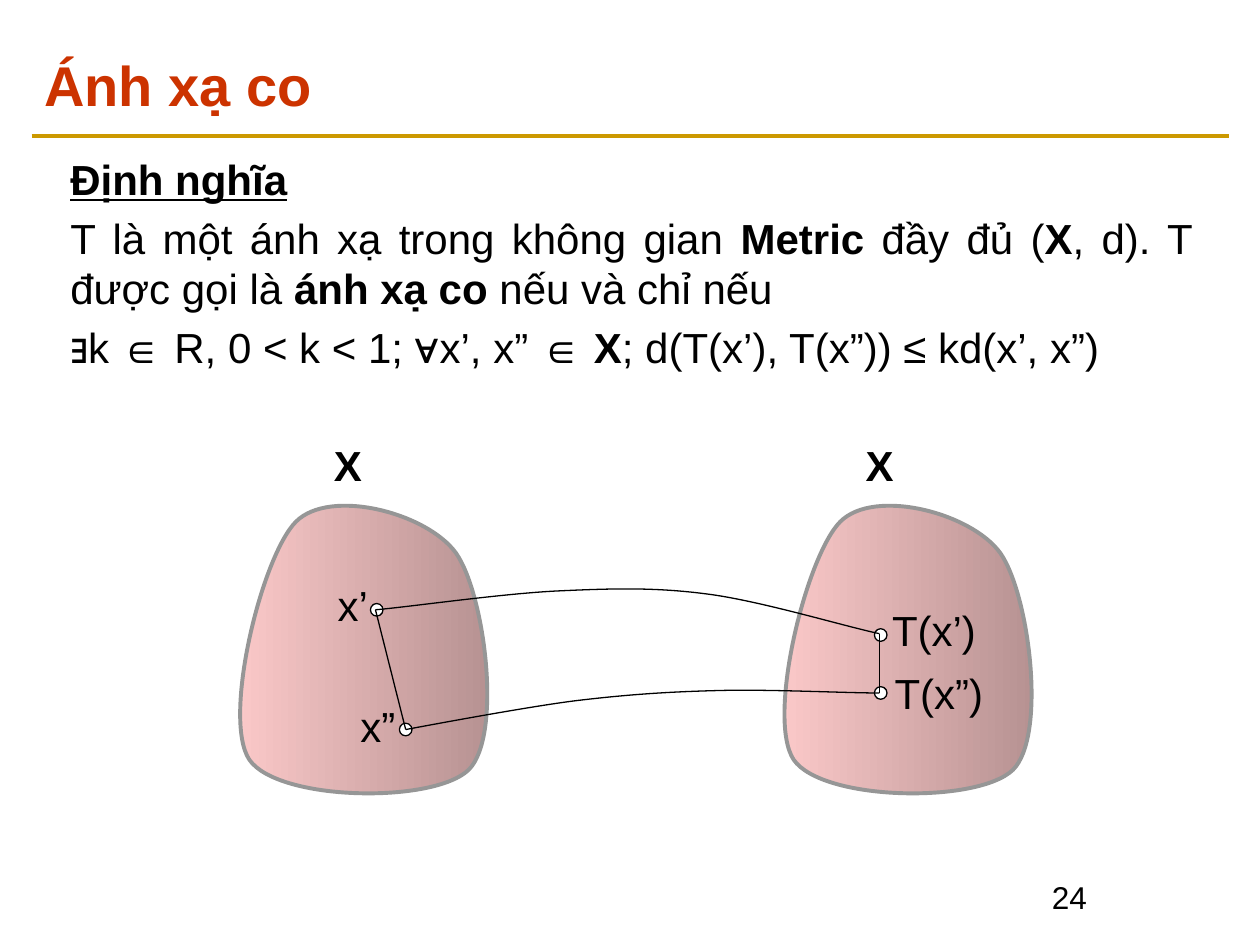
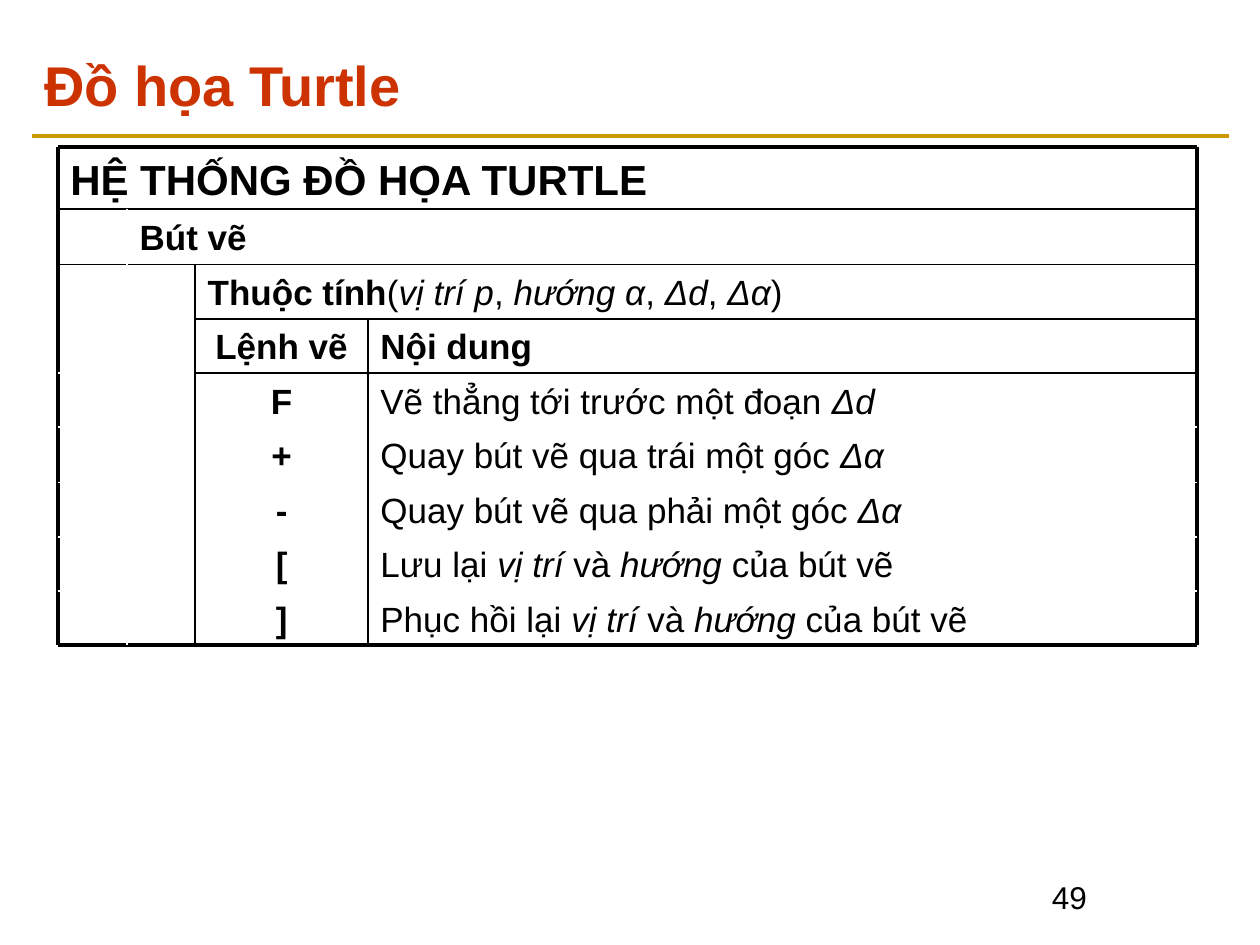
from lxml import etree
from pptx import Presentation
from pptx.dml.color import RGBColor
from pptx.enum.shapes import MSO_CONNECTOR, MSO_SHAPE
from pptx.enum.text import MSO_ANCHOR, MSO_AUTO_SIZE, PP_ALIGN
from pptx.oxml.ns import qn
from pptx.util import Inches, Pt

STRAIGHT = MSO_CONNECTOR.STRAIGHT
OVAL = MSO_SHAPE.OVAL
MIDDLE = MSO_ANCHOR.MIDDLE
NO_FIT = MSO_AUTO_SIZE.NONE
LEFT, CENTER, JUSTIFY = PP_ALIGN.LEFT, PP_ALIGN.CENTER, PP_ALIGN.JUSTIFY

colour = RGBColor.from_string
BLACK, WHITE, RED, GOLD = "000000", "FFFFFF", "CC3300", "CC9900"
GREY, PINK, DARK_PINK = "969696", "FFCCCC", "B38F8F"
FONT = "Arial"


def write(para, spans, size, ink=BLACK, align=LEFT):
    para.alignment = align
    for text, style in spans:
        span = para.add_run()
        span.text = text
        span.font.name = FONT
        span.font.size = Pt(size)
        span.font.color.rgb = colour(ink)
        span.font.bold = "b" in style
        span.font.italic = "i" in style
        span.font.underline = "u" in style


def draw_curve(page, points, closed, ink, width):
    start, *bends = [(Inches(x), Inches(y)) for x, y in points]
    builder = page.shapes.build_freeform(*start)
    builder.add_line_segments(bends, close=closed)
    curve = builder.convert_to_shape()
    segments = list(curve._element.iter(qn("a:lnTo")))
    for first in range(0, len(segments), 3):
        bend = etree.Element(qn("a:cubicBezTo"))
        segments[first].addprevious(bend)
        for segment in segments[first:first + 3]:
            bend.append(segment[0])
            segment.getparent().remove(segment)
    curve.shadow.inherit = False
    curve.fill.background()
    curve.line.color.rgb = colour(ink)
    curve.line.width = Pt(width)
    return curve


deck = Presentation()
deck.slide_width = Inches(10)
deck.slide_height = Inches(7.5)

strokes = []
pages = []
for heading, number in [("Ánh xạ co", "24"), ("Đồ họa Turtle", "49")]:
    page = deck.slides.add_slide(deck.slide_layouts[5])
    title = page.shapes.title
    title.left, title.top = Inches(0.25), Inches(0.33)
    title.width, title.height = Inches(9.5), Inches(0.67)
    title.text_frame.auto_size = NO_FIT
    title.text_frame.vertical_anchor = MIDDLE
    write(title.text_frame.paragraphs[0], [(heading, "b")], 32, RED)
    box = page.shapes.add_textbox(Inches(8.25), Inches(6.92), Inches(1.5), Inches(0.5))
    box.text_frame.word_wrap = True
    write(box.text_frame.paragraphs[0], [(number, "")], 18)
    strokes.append((page, (0.25, 1.08), (9.75, 1.08), GOLD, 2.25))
    pages.append(page)
mapping_page, turtle_page = pages

definition = [
    [("Định nghĩa", "bu")],
    [("T là một ánh xạ trong không gian ", ""), ("Metric", "b"), (" đầy đủ (", ""),
     ("X", "b"), (", d). T được gọi là ", ""), ("ánh xạ co", "b"), (" nếu và chỉ nếu", "")],
    [("∃k ∈ R, 0 < k < 1; ∀x’, x” ∈ ", ""), ("X", "b"),
     ("; d(T(x’), T(x”)) ≤ kd(x’, x”)", "")],
]
box = mapping_page.shapes.add_textbox(Inches(0.46), Inches(1.17), Inches(9.1), Inches(5.75))
frame = box.text_frame
frame.word_wrap = True
for index, spans in enumerate(definition):
    para = frame.add_paragraph() if index else frame.paragraphs[0]
    if index:
        para.space_before = Pt(4.8)
    write(para, spans, 24, align=JUSTIFY)

space_outline = [
    (2.35, 4.14),
    (2.62, 3.87), (3.39, 4.07), (3.62, 4.39),
    (3.85, 4.72), (3.99, 5.84), (3.72, 6.11),
    (3.44, 6.38), (2.21, 6.36), (1.98, 6.03),
    (1.76, 5.7), (2.08, 4.41), (2.35, 4.14),
]
for shift in (0, 4.32):
    outline = [(x + shift, y) for x, y in space_outline]
    space = draw_curve(mapping_page, outline, True, GREY, 2.25)
    space.fill.gradient()
    space.fill.gradient_angle = 180
    for stop, tint in zip(space.fill.gradient_stops, (DARK_PINK, PINK)):
        stop.color.rgb = colour(tint)

for left, top in [(2.94, 4.79), (3.17, 5.74), (6.94, 4.99), (6.94, 5.45)]:
    dot = mapping_page.shapes.add_shape(
        OVAL, Inches(left), Inches(top), Inches(0.1), Inches(0.1))
    dot.shadow.inherit = False
    dot.fill.solid()
    dot.fill.fore_color.rgb = colour(WHITE)
    dot.line.color.rgb = colour(BLACK)
    dot.line.width = Pt(0.75)

x_first, x_second = (2.98, 4.84), (3.22, 5.79)
image_first, image_second = (6.98, 5.03), (6.98, 5.5)
arcs = [
    [x_first, (3.23, 4.82), (3.99, 4.71), (4.44, 4.69),
     (4.88, 4.67), (5.22, 4.66), (5.65, 4.72),
     (6.07, 4.78), (6.7, 4.97), image_first],
    [x_second, x_second, (4.17, 5.61), (4.58, 5.56),
     (5, 5.51), (5.32, 5.49), (5.72, 5.48),
     (6.12, 5.47), (6.72, 5.5), image_second],
]
for arc in arcs:
    draw_curve(mapping_page, arc, False, BLACK, 0.75)
strokes.append((mapping_page, x_first, x_second, BLACK, 0.75))
strokes.append((mapping_page, image_first, image_second, BLACK, 0.75))

labels = [
    ("X", "b", 2.65, 3.49, 0.24), ("X", "b", 6.87, 3.49, 0.24),
    ("x’", "", 2.68, 4.6, 0.27), ("x”", "", 2.86, 5.56, 0.3),
    ("T(x’)", "", 7.08, 4.8, 0.7), ("T(x”)", "", 7.1, 5.3, 0.75),
]
for text, style, left, top, width in labels:
    box = mapping_page.shapes.add_textbox(Inches(left), Inches(top), Inches(width), Inches(0.4))
    frame = box.text_frame
    frame.word_wrap = False
    frame.margin_left = frame.margin_right = frame.margin_top = frame.margin_bottom = 0
    write(frame.paragraphs[0], [(text, style)], 24)

left_edge, pen_edge, command_edge, meaning_edge, right_edge = 0.46, 1.01, 1.55, 2.92, 9.5
row_edges = [1.17, 1.66, 2.1, 2.53, 2.96, 3.39, 3.83, 4.26, 4.69, 5.12]
top_edge, bottom_edge = row_edges[0], row_edges[-1]
headings = [
    (left_edge, [("HỆ THỐNG ĐỒ HỌA TURTLE", "b")]),
    (pen_edge, [("Bút vẽ", "b")]),
    (command_edge, [("Thuộc tính", "b"), ("(", ""), ("vị trí p", "i"), (", ", ""),
                    ("hướng α", "i"), (", ", ""), ("Δd", "i"), (", ", ""),
                    ("Δα", "i"), (")", "")]),
]
commands = [
    ("Lệnh vẽ", [("Nội dung", "b")]),
    ("F", [("Vẽ thẳng tới trước một đoạn ", ""), ("Δd", "i")]),
    ("+", [("Quay bút vẽ qua trái một góc ", ""), ("Δα", "i")]),
    ("-", [("Quay bút vẽ qua phải một góc ", ""), ("Δα", "i")]),
    ("[", [("Lưu lại ", ""), ("vị trí", "i"), (" và ", ""), ("hướng", "i"),
           (" của bút vẽ", "")]),
    ("]", [("Phục hồi lại ", ""), ("vị trí", "i"), (" và", ""), (" hướng", "i"),
           (" của bút vẽ", "")]),
]
cells = [(row, left, right_edge, spans, LEFT) for row, (left, spans) in enumerate(headings)]
for row, (command, meaning) in enumerate(commands, len(headings)):
    cells.append((row, command_edge, meaning_edge, [(command, "b")], CENTER))
    cells.append((row, meaning_edge, right_edge, meaning, LEFT))

grid = turtle_page.shapes.add_group_shape()
for row, left, right, spans, align in cells:
    top, bottom = row_edges[row:row + 2]
    box = grid.shapes.add_textbox(
        Inches(left), Inches(top), Inches(right - left), Inches(bottom - top))
    box.text_frame.word_wrap = True
    write(box.text_frame.paragraphs[0], spans, 20 if row else 24, align=align)

levels = [
    (0, left_edge, right_edge, BLACK, 2.25),
    (1, left_edge, right_edge, BLACK, 1),
    (2, left_edge, right_edge, BLACK, 1),
    (3, left_edge, command_edge, WHITE, 1),
    (9, left_edge, right_edge, BLACK, 2.25),
]
uprights = [(left_edge, 0, BLACK, 2.25), (right_edge, 0, BLACK, 2.25)]
later_levels = [
    (8, left_edge, right_edge, WHITE, 1),
    (5, left_edge, right_edge, WHITE, 1),
    (4, left_edge, command_edge, WHITE, 1),
    (7, left_edge, right_edge, WHITE, 1),
    (6, left_edge, right_edge, WHITE, 1),
    (3, command_edge, right_edge, BLACK, 1),
    (4, command_edge, right_edge, BLACK, 1),
]
later_uprights = [
    (meaning_edge, 3, BLACK, 1), (pen_edge, 1, WHITE, 1), (command_edge, 2, BLACK, 1)]
for across, down in [(levels, uprights), (later_levels, later_uprights)]:
    for row, left, right, ink, width in across:
        y = row_edges[row]
        strokes.append((grid, (left, y), (right, y), ink, width))
    for x, row, ink, width in down:
        strokes.append((grid, (x, row_edges[row]), (x, bottom_edge), ink, width))

for owner, start, end, ink, width in strokes:
    stroke = owner.shapes.add_connector(STRAIGHT, *map(Inches, start + end))
    stroke.line.color.rgb = colour(ink)
    stroke.line.width = Pt(width)
    etree.SubElement(stroke._element.spPr, qn("a:effectLst"))

deck.save("out.pptx")
